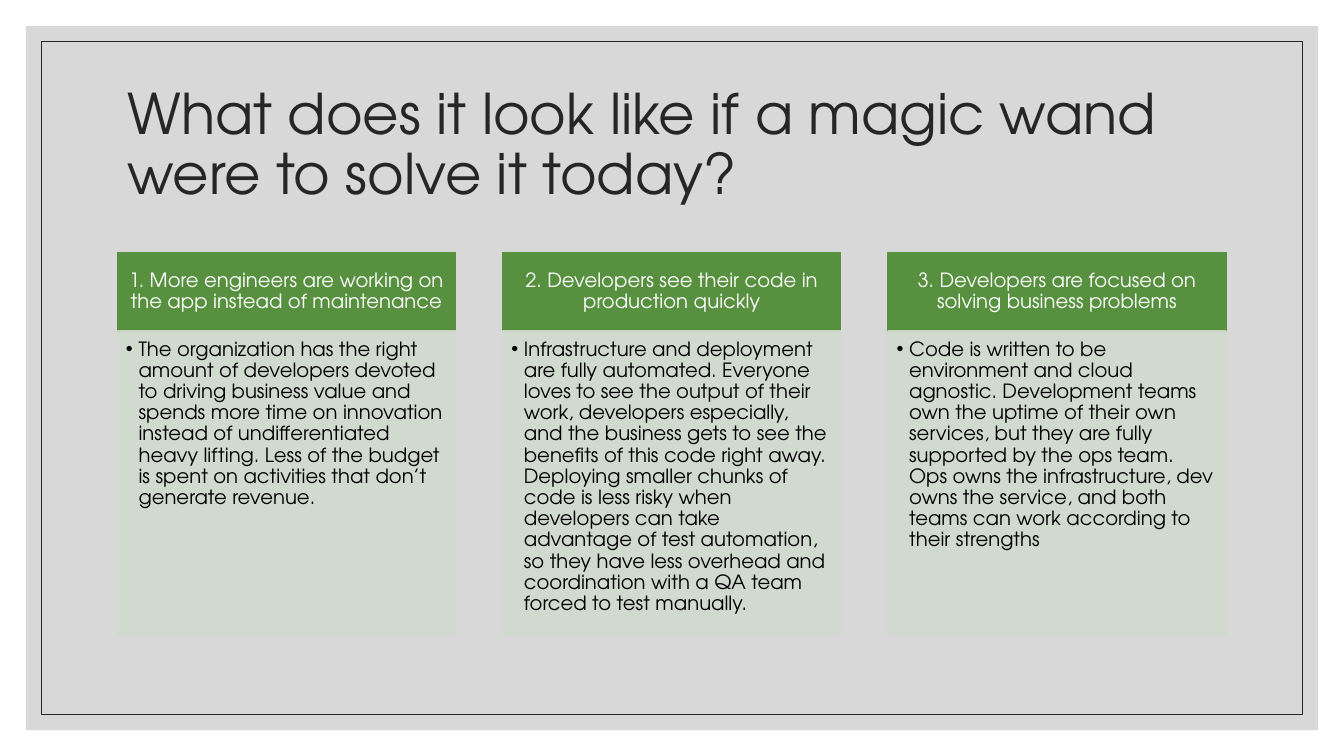
from pptx import Presentation
from pptx.dml.color import RGBColor
from pptx.enum.shapes import MSO_SHAPE as Shape
from pptx.enum.text import MSO_ANCHOR as Anchor, PP_ALIGN as Align
from pptx.oxml.ns import qn
from pptx.util import Pt
from lxml.etree import SubElement

THEME = {
    "font": "TeX Gyre Adventor",
    "title_size": 40,
    "card_size": 14,
    "ink": "262626",
    "black": "000000",
    "white": "FFFFFF",
    "backdrop": "BFBFBF",
    "green": "57903F",
    "pale": "D1DBCF",
}

CARDS = [
    ("1. More engineers are working on the app instead of maintenance",
     "The organization has the right amount of developers devoted to driving business value "
     "and spends more time on innovation instead of undifferentiated heavy lifting. Less of "
     "the budget is spent on activities that don’t generate revenue."),
    ("2. Developers see their code in production quickly",
     "Infrastructure and deployment are fully automated. Everyone loves to see the output of "
     "their work, developers especially, and the business gets to see the benefits of this "
     "code right away. Deploying smaller chunks of code is less risky when developers can take "
     "advantage of test automation, so they have less overhead and coordination with a QA team "
     "forced to test manually."),
    ("3. Developers are focused on solving business problems",
     "Code is written to be environment and cloud agnostic. Development teams own the uptime "
     "of their own services, but they are fully supported by the ops team. Ops owns the "
     "infrastructure, dev owns the service, and both teams can work according to their strengths"),
]


def add_box(area, fill=None, line=None, weight=1, opacity=100):
    box = page.shapes.add_shape(Shape.RECTANGLE, *map(Pt, area))
    box.shadow.inherit = False
    if fill:
        box.fill.solid()
        box.fill.fore_color.rgb = RGBColor.from_string(THEME[fill])
    else:
        box.fill.background()
    if line:
        box.line.color.rgb = RGBColor.from_string(THEME[line])
        box.line.width = Pt(weight)
    else:
        box.line.fill.background()
    if opacity < 100:
        for color in box._element.spPr.iter(qn("a:srgbClr")):
            SubElement(color, qn("a:alpha"), val=str(opacity * 1000))
    return box


def write(box, text, size, color, insets, anchor, align=Align.LEFT):
    frame = box.text_frame
    sides = ("margin_left", "margin_top", "margin_right", "margin_bottom")
    layout = {"word_wrap": True, "vertical_anchor": anchor, **dict(zip(sides, map(Pt, insets)))}
    for name, value in layout.items():
        setattr(frame, name, value)
    para = frame.paragraphs[0]
    para.alignment = align
    para.line_spacing = 0.9
    span = para.add_run()
    span.text = text
    for name, value in {"name": THEME["font"], "size": Pt(THEME[size])}.items():
        setattr(span.font, name, value)
    span.font.color.rgb = RGBColor.from_string(THEME[color])
    return para


deck = Presentation()
deck.slide_width, deck.slide_height = Pt(960), Pt(540)
page = deck.slides.add_slide(deck.slide_layouts[6])

add_box((18.5, 18.5, 923, 503), fill="backdrop", opacity=60)
add_box((29.5, 29.5, 901, 481), line="ink", weight=0.5)

title = page.shapes.add_textbox(*map(Pt, (84, 50.4, 792, 108)))
write(title, "What does it look like if a magic wand were to solve it today?",
      "title_size", "ink", (7.2, 3.6, 7.2, 3.6), Anchor.MIDDLE)

left, step, width = 84, 275.2, 241.4
head_top, head_height, body_height = 180.5, 55.8, 217.4

for index, (heading, detail) in enumerate(CARDS):
    x = left + index * step
    head = add_box((x, head_top, width, head_height), fill="green", line="green")
    write(head, heading, "card_size", "white", (8, 4.5, 8, 4.5), Anchor.MIDDLE, Align.CENTER)

    body = add_box((x, head_top + head_height, width, body_height),
                   fill="pale", line="pale", opacity=90)
    para = write(body, detail, "card_size", "black", (6, 6, 8, 9), Anchor.TOP)
    props = para._p.get_or_add_pPr()
    props.set("marL", str(Pt(9)))
    props.set("indent", str(Pt(-9)))
    SubElement(props, qn("a:buFont"), typeface="Arial")
    SubElement(props, qn("a:buChar"), char="•")

deck.save("out.pptx")
